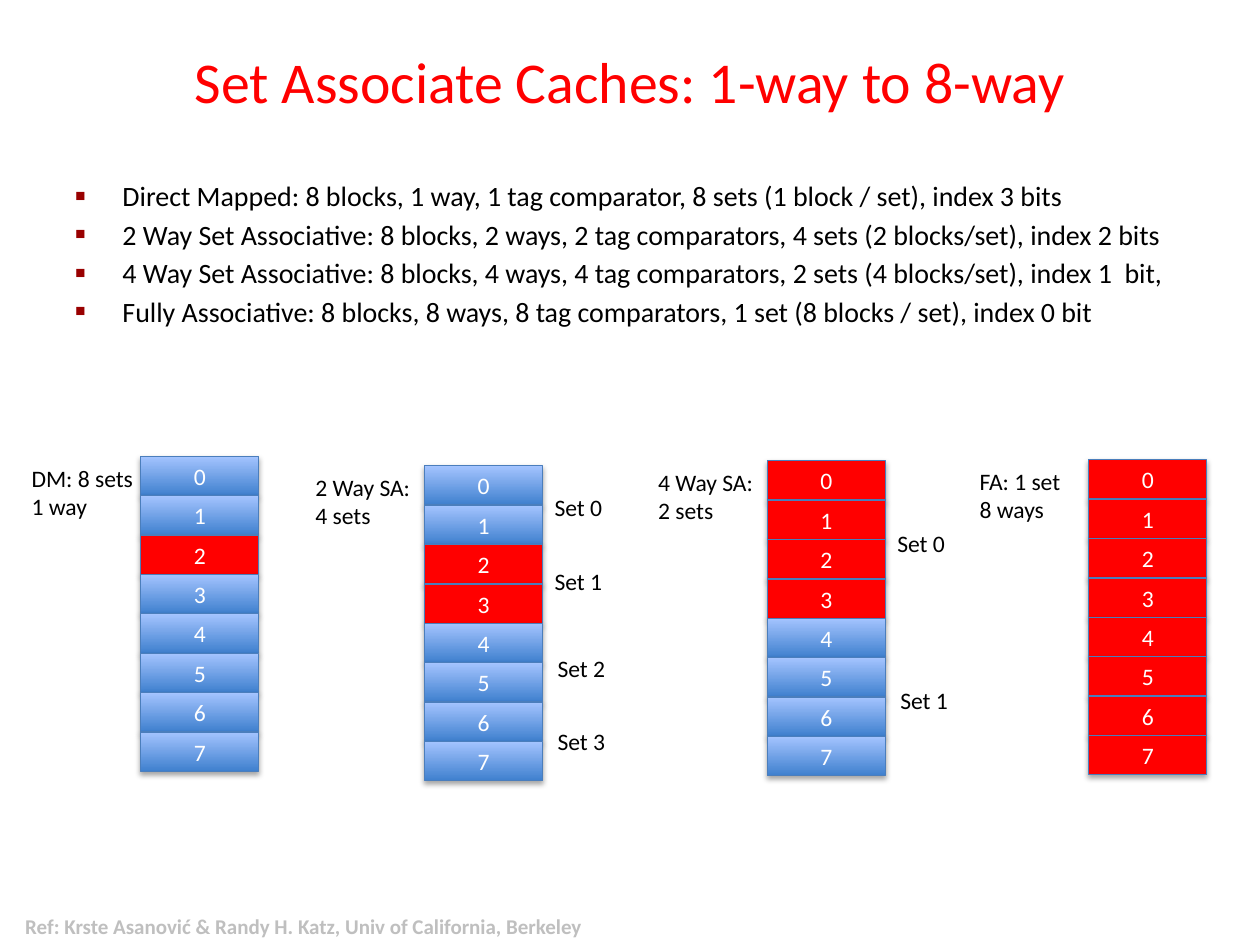
import lxml.etree
import pptx
import pptx.dml.color
import pptx.enum.shapes
import pptx.enum.text
import pptx.oxml.ns
import pptx.util

Cm, Pt = pptx.util.Cm, pptx.util.Pt
RGBColor = pptx.dml.color.RGBColor
ALIGN = pptx.enum.text.PP_ALIGN
ANCHOR = pptx.enum.text.MSO_ANCHOR

RED = RGBColor(0xFF, 0x00, 0x00)
BLACK = RGBColor(0x00, 0x00, 0x00)
WHITE = RGBColor(0xFF, 0xFF, 0xFF)
GREY = RGBColor(0xBF, 0xBF, 0xBF)
BULLET_RED = RGBColor(0x99, 0x00, 0x00)
BLUE_DARK = RGBColor(0x3F, 0x80, 0xCE)
BLUE_LIGHT = RGBColor(0xA4, 0xC4, 0xFF)
BLUE_LINE = RGBColor(0x4B, 0x7E, 0xBC)

BLOCK_COUNT = 8
BLOCK_WIDTH = 2.38
STACK_HEIGHT = 6.35

SUMMARY = [
    "Direct Mapped: 8 blocks, 1 way, 1 tag comparator, 8 sets (1 block / set), index 3 bits",
    "2 Way Set Associative: 8 blocks, 2 ways, 2 tag comparators, 4 sets (2 blocks/set), index 2 bits",
    "4 Way Set Associative: 8 blocks, 4 ways, 4 tag comparators, 2 sets (4 blocks/set), index 1  bit,",
    "Fully Associative: 8 blocks, 8 ways, 8 tag comparators, 1 set (8 blocks / set), index 0 bit",
]

# Left and top of the stack, caption, caption width, red blocks,
# and left and top of each set label relative to the stack
CACHES = [
    (2.84, 9.2, "DM: 8 sets\n1 way", 2.57, [2], []),
    (8.56, 9.39, "2 Way SA: \v4 sets", 2.57, [2, 3],
     [(2.37, 0.43), (2.37, 1.91), (2.43, 3.66), (2.43, 5.13)]),
    (15.47, 9.29, "4 Way SA: \v2 sets", 2.57, range(4),
     [(2.37, 1.25), (2.43, 4.42)]),
    (21.95, 9.27, "FA: 1 set\n8 ways", 2.16, range(8), []),
]


def add_child(parent, tag, **attributes):
    child = lxml.etree.SubElement(parent, pptx.oxml.ns.qn(tag))
    for name, value in attributes.items():
        child.set(name, str(value))
    return child


def style_text(frame, size, color, align=ALIGN.LEFT, bold=False):
    for para in frame.paragraphs:
        para.alignment = align
        para.font.name = "Calibri"
        para.font.size = Pt(size)
        para.font.bold = bold
        para.font.color.rgb = color


def add_text(page, left, top, width, height, text, size, color,
             align=ALIGN.LEFT, anchor=ANCHOR.TOP, bold=False, wrap=True):
    box = page.shapes.add_textbox(Cm(left), Cm(top), Cm(width), Cm(height))
    frame = box.text_frame
    frame.word_wrap = wrap
    frame.vertical_anchor = anchor
    frame.text = text
    style_text(frame, size, color, align, bold)


def add_bullet(para):
    properties = para._p.get_or_add_pPr()
    properties.set("marL", str(Cm(0.95)))
    properties.set("indent", str(-Cm(0.95)))
    add_child(add_child(properties, "a:buClr"), "a:srgbClr", val=BULLET_RED)
    add_child(properties, "a:buSzPct", val=60000)
    add_child(properties, "a:buFont", typeface="Arial")
    add_child(properties, "a:buChar", char="■")


def add_summary(page, left, top, width, height):
    box = page.shapes.add_textbox(Cm(left), Cm(top), Cm(width), Cm(height))
    frame = box.text_frame
    frame.word_wrap = True
    frame.text = "\n".join(SUMMARY)
    for index, para in enumerate(frame.paragraphs):
        add_bullet(para)
        if index:
            para.space_before = Pt(2.8)
    style_text(frame, 16, BLACK)


def add_shadow(shape):
    shape.shadow.inherit = False
    effects = shape._element.spPr.find(pptx.oxml.ns.qn("a:effectLst"))
    shadow = add_child(effects, "a:outerShdw", blurRad=Pt(3.1), dist=Pt(1.8),
                       dir=90 * 60000, rotWithShape=0)
    color = add_child(shadow, "a:srgbClr", val=BLACK)
    add_child(color, "a:alpha", val=35000)


def add_block(page, left, top, width, height, number, is_red):
    block = page.shapes.add_shape(
        pptx.enum.shapes.MSO_SHAPE.RECTANGLE,
        Cm(left), Cm(top), Cm(width), Cm(height))
    if is_red:
        block.fill.solid()
        block.fill.fore_color.rgb = RED
    else:
        block.fill.gradient()
        block.fill.gradient_angle = 90
        for stop, color in zip(block.fill.gradient_stops, (BLUE_DARK, BLUE_LIGHT)):
            stop.color.rgb = color
    block.line.color.rgb = BLUE_LINE
    block.line.width = Pt(0.75)
    add_shadow(block)
    frame = block.text_frame
    frame.vertical_anchor = ANCHOR.MIDDLE
    frame.text = str(number)
    style_text(frame, 13.5, WHITE, ALIGN.CENTER)


def add_cache(page, left, top, caption, caption_width, red_blocks, set_places):
    """Stack of blocks with a caption on its left and set labels on its right."""
    block_height = STACK_HEIGHT / BLOCK_COUNT
    for number in range(BLOCK_COUNT):
        add_block(page, left, top + number * block_height, BLOCK_WIDTH,
                  block_height, number, number in red_blocks)
    add_text(page, left - 2.45, top + 0.02, caption_width, 1.42, caption,
             13.5, BLACK, wrap=False)
    for number, (label_left, label_top) in enumerate(set_places):
        add_text(page, left + label_left, top + label_top, 1.47, 0.84,
                 f"Set {number}", 13.5, BLACK, wrap=False)


def main():
    deck = pptx.Presentation()
    deck.slide_width, deck.slide_height = Cm(25.4), Cm(19.05)
    page = deck.slides.add_slide(deck.slide_layouts[6])
    add_text(page, 1.27, 0.03, 22.86, 3.18, "Set Associate Caches: 1-way to 8-way",
             33, RED, ALIGN.CENTER, ANCHOR.MIDDLE)
    add_summary(page, 1.27, 3.48, 23.42, 3.66)
    for cache in CACHES:
        add_cache(page, *cache)
    add_text(page, 0.08, 18.16, 12.09, 1.02,
             "Ref: Krste Asanović & Randy H. Katz, Univ of California, Berkeley",
             12, GREY, ALIGN.CENTER, ANCHOR.MIDDLE, bold=True)
    deck.save("out.pptx")


if __name__ == "__main__":
    main()
